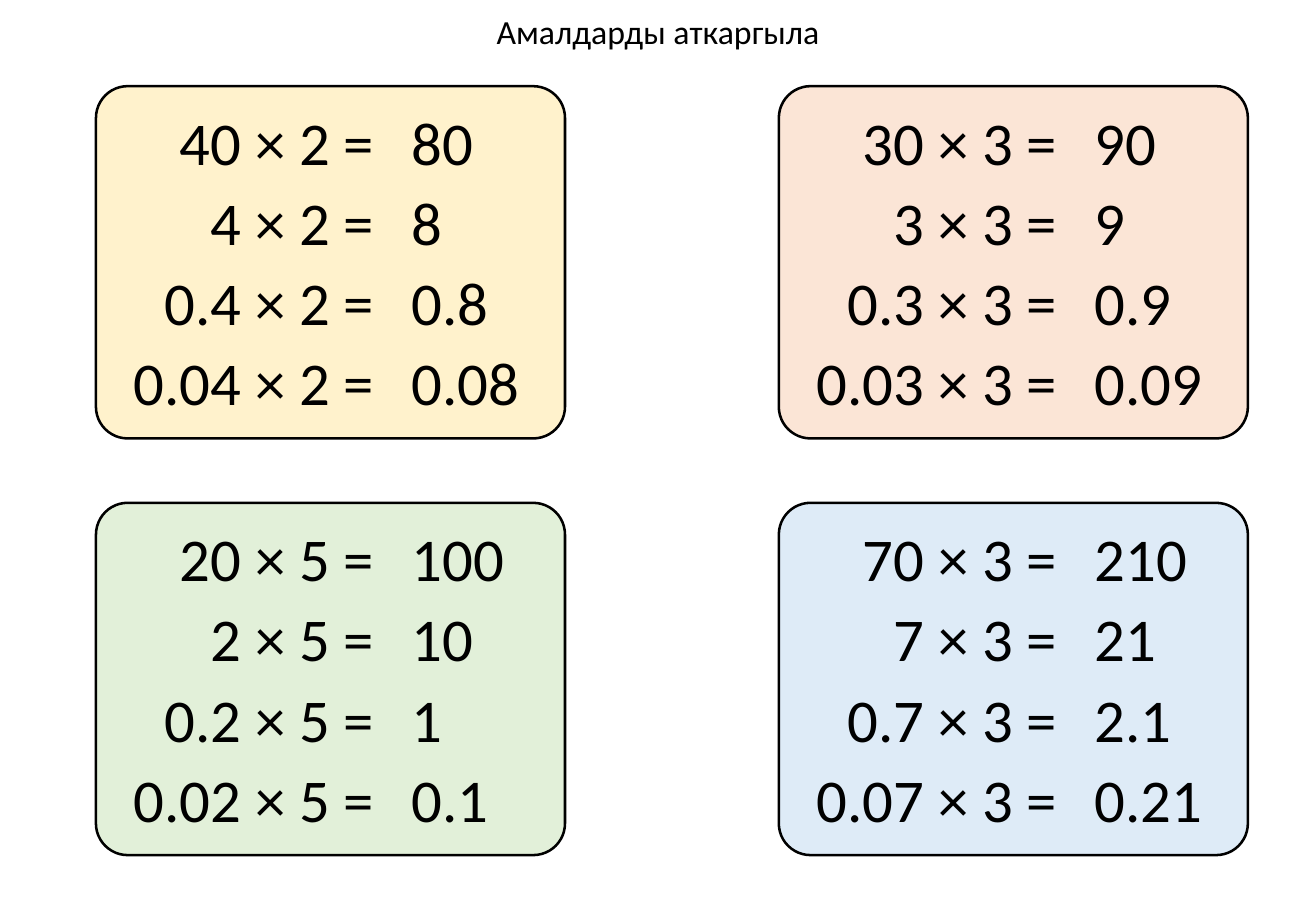
from pptx import Presentation
from pptx.dml.color import RGBColor
from pptx.enum.shapes import MSO_SHAPE
from pptx.enum.text import MSO_AUTO_SIZE, PP_ALIGN
from pptx.util import Inches, Pt

ROUNDED = MSO_SHAPE.ROUNDED_RECTANGLE
FIT_SHAPE = MSO_AUTO_SIZE.SHAPE_TO_FIT_TEXT
LEFT, CENTER, RIGHT = PP_ALIGN.LEFT, PP_ALIGN.CENTER, PP_ALIGN.RIGHT

COLORS = {
    "ink": "000000",
    "yellow": "FFF2CC",
    "orange": "FBE5D6",
    "green": "E2F0D9",
    "blue": "DEEBF7",
}
CARDS = [
    ("yellow", 2, [("40", "80"), ("4", "8"), ("0.4", "0.8"), ("0.04", "0.08")]),
    ("orange", 3, [("30", "90"), ("3", "9"), ("0.3", "0.9"), ("0.03", "0.09")]),
    ("green", 5, [("20", "100"), ("2", "10"), ("0.2", "1"), ("0.02", "0.1")]),
    ("blue", 3, [("70", "210"), ("7", "21"), ("0.7", "2.1"), ("0.07", "0.21")]),
]


class Worksheet:
    """Draws cards of sums on a two-column grid of the current slide."""

    width, height = 10.83, 7.5
    left, top = 0.79, 0.71
    col_step, row_step, line_step = 5.62, 3.43, 0.66
    card_w, card_h = 3.86, 2.9
    equals_x, first_line_y = 2.5, 0.1
    line_h, digit_w, point_w = 0.71, 0.26, 0.13
    sum_w, answer_w = 1.41, 0.2
    font, size, title_size = "Calibri", 36, 20

    def __init__(self, prs):
        prs.slide_width, prs.slide_height = Inches(self.width), Inches(self.height)
        self.s = prs.slides.add_slide(prs.slide_layouts[6])

    def color(self, name):
        return RGBColor.from_string(COLORS[name])

    def number_width(self, number):
        points = number.count(".")
        return self.digit_w * (len(number) - points) + self.point_w * points

    def text(self, x, y, w, h, text, align, size):
        tb = self.s.shapes.add_textbox(Inches(x), Inches(y), Inches(w), Inches(h))
        tf = tb.text_frame
        tf.word_wrap = False
        tf.auto_size = FIT_SHAPE
        p = tf.paragraphs[0]
        p.text = text
        p.alignment = align
        font = p.runs[0].font
        font.name, font.size = self.font, Pt(size)
        font.color.rgb = self.color("ink")

    def title(self, text):
        w = 2.88
        self.text((self.width - w) / 2, 0.04, w, 0.44, text, CENTER, self.title_size)

    def panel(self, x, y, fill):
        sp = self.s.shapes.add_shape(
            ROUNDED, Inches(x), Inches(y), Inches(self.card_w), Inches(self.card_h))
        sp.adjustments[0] = 0.09
        sp.shadow.inherit = False
        sp.fill.solid()
        sp.fill.fore_color.rgb = self.color(fill)
        sp.line.color.rgb = self.color("ink")
        sp.line.width = Pt(1.5)

    def card(self, col, row, fill, factor, sums):
        x = self.left + col * self.col_step
        y = self.top + row * self.row_step
        self.panel(x, y, fill)
        middle = x + self.equals_x
        for i, (number, answer) in enumerate(sums):
            line_y = y + self.first_line_y + i * self.line_step
            w = self.sum_w + self.number_width(number)
            self.text(middle - w, line_y, w, self.line_h,
                      f"{number} × {factor} = ", RIGHT, self.size)
            w = self.answer_w + self.number_width(answer)
            self.text(middle, line_y, w, self.line_h, answer, LEFT, self.size)


def main():
    prs = Presentation()
    sheet = Worksheet(prs)
    sheet.title("Амалдарды аткаргыла")
    for i, (fill, factor, sums) in enumerate(CARDS):
        row, col = divmod(i, 2)
        sheet.card(col, row, fill, factor, sums)
    prs.save("out.pptx")


if __name__ == "__main__":
    main()
